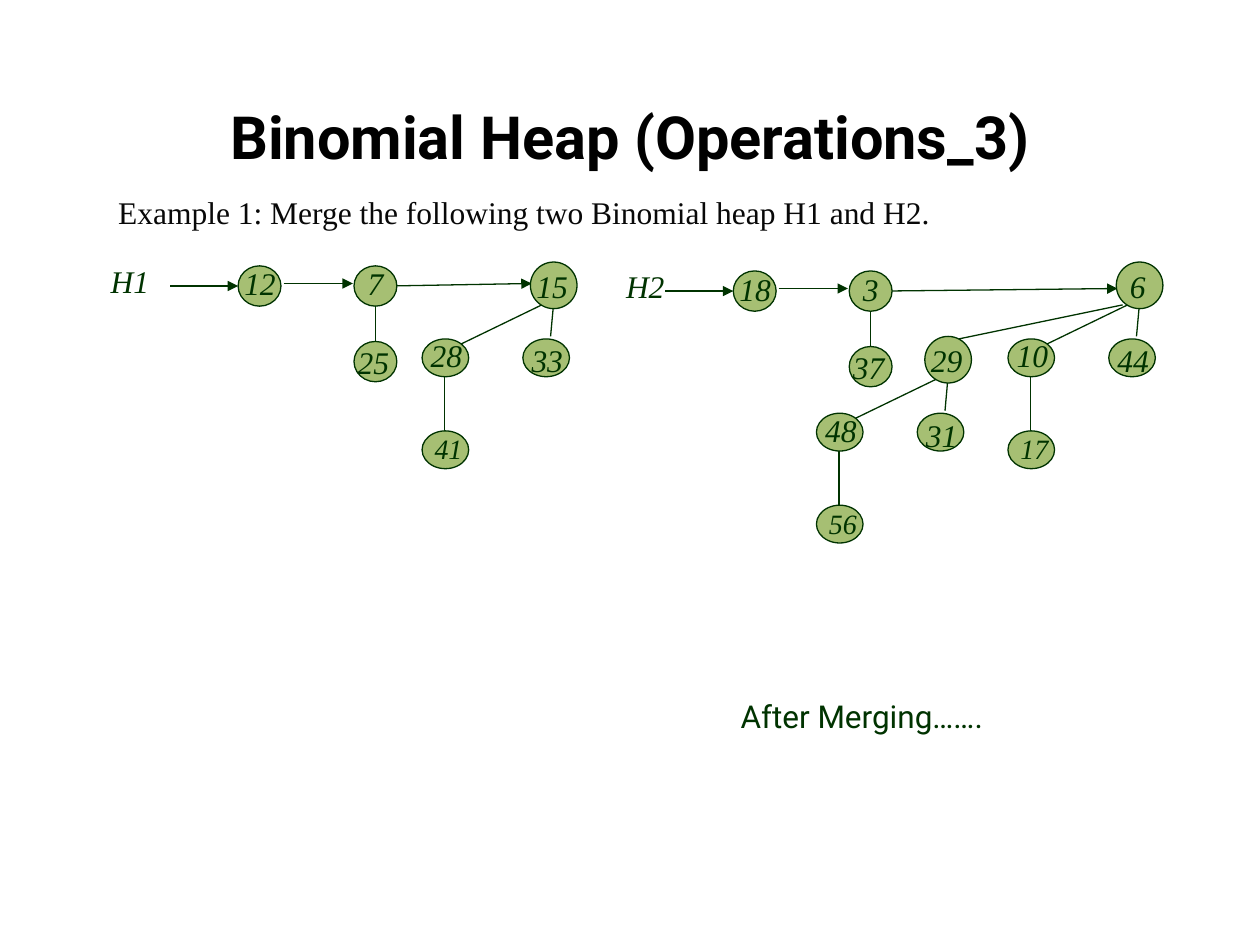
from dataclasses import dataclass

from lxml import etree
from pptx import Presentation
from pptx.dml.color import RGBColor
from pptx.enum.shapes import MSO_CONNECTOR, MSO_SHAPE
from pptx.enum.text import MSO_ANCHOR, PP_ALIGN
from pptx.oxml.ns import qn
from pptx.shapes.shapetree import GroupShapes
from pptx.util import Inches, Pt

STRAIGHT = MSO_CONNECTOR.STRAIGHT
OVAL = MSO_SHAPE.OVAL
MIDDLE = MSO_ANCHOR.MIDDLE
CENTER = PP_ALIGN.CENTER
JUSTIFY = PP_ALIGN.JUSTIFY

COLORS = {"ink": "003300", "node": "A6BF73", "title": "000000", "body": "080808"}
SERIF = "Times New Roman"
SANS = "Roboto"
LINE_WIDTH = Pt(0.75)
TITLE_ONLY = 5


@dataclass(frozen=True)
class Node:
    x: float
    y: float
    width: float
    height: float
    label_x: float
    label_y: float
    label_width: float = 0.47
    size: int = 18


@dataclass(frozen=True)
class Edge:
    x1: float
    y1: float
    x2: float
    y2: float


@dataclass(frozen=True)
class Tree:
    x: float
    y: float
    keys: tuple[str, str, str, str]
    root_label_shift: float = 0


@dataclass(frozen=True)
class Heap:
    name: str
    name_x: float
    x: float
    y: float
    keys: tuple[str, str, str]
    trees: tuple[Tree, ...]


CHAIN_NODES = (
    Node(0, 0, 0.34, 0.32, -0.05, -0.06, 0.55),
    Node(0.92, 0, 0.34, 0.32, 0.01, -0.06, 0.42),
    Node(0.92, 0.6, 0.34, 0.32, -0.07, -0.04),
)
CHAIN_ARROWS = (Edge(-0.54, 0.16, 0, 0.16), Edge(0.36, 0.14, 0.91, 0.14))
CHAIN_EDGE = Edge(1.09, 0.31, 1.09, 0.6)

TREE_NODES = (
    Node(0.86, -0.61, 0.37, 0.37, -0.05, -0.01),
    Node(0, 0, 0.37, 0.3, -0.03, -0.07),
    Node(0.8, 0, 0.37, 0.3, -0.03, -0.03, 0.49),
    Node(0, 0.73, 0.37, 0.3, 0, -0.04, 0.59, 16),
)
TREE_EDGES = (
    Edge(0.18, 0.3, 0.18, 0.73),
    Edge(1.04, -0.24, 1.02, -0.02),
    Edge(0.31, 0.04, 0.95, -0.27),
)

HEAPS = (
    Heap("H1", 0.78, 1.89, 2.11, ("12", "7", "25"),
         (Tree(3.35, 2.69, ("15", "28", "33", "41")),)),
    Heap("H2", 4.87, 5.82, 2.15, ("18", "3", "37"),
         (Tree(8, 2.69, ("6", "10", "44", "17"), 0.06),
          Tree(6.48, 3.28, ("29", "48", "31", "56")))),
)
TREE_LINK = Edge(7.61, 2.69, 8.91, 2.42)


def color(name: str) -> RGBColor:
    return RGBColor.from_string(COLORS[name])


def add_text(shapes: GroupShapes, text: str, x: float, y: float, width: float,
             height: float = 0.4, size: int = 18, font: str = SERIF,
             ink: str = "ink", italic: bool = False):
    box = shapes.add_textbox(Inches(x), Inches(y), Inches(width), Inches(height))
    box.text_frame.word_wrap = True
    para = box.text_frame.paragraphs[0]
    para.text = text
    para.font.name = font
    para.font.size = Pt(size)
    para.font.italic = italic
    para.font.color.rgb = color(ink)
    return para


def add_edge(shapes: GroupShapes, edge: Edge, x: float = 0, y: float = 0,
             arrow: bool = False) -> None:
    line = shapes.add_connector(
        STRAIGHT, Inches(x + edge.x1), Inches(y + edge.y1),
        Inches(x + edge.x2), Inches(y + edge.y2))
    line.line.color.rgb = color("ink")
    line.line.width = LINE_WIDTH
    properties = line._element.spPr
    if arrow:
        etree.SubElement(properties.find(qn("a:ln")), qn("a:tailEnd"), type="triangle")
    etree.SubElement(properties, qn("a:effectLst"))


def add_node(shapes: GroupShapes, node: Node, key: str, x: float, y: float,
             label_shift: float = 0) -> None:
    left, top = x + node.x, y + node.y
    oval = shapes.add_shape(OVAL, Inches(left), Inches(top),
                            Inches(node.width), Inches(node.height))
    oval.shadow.inherit = False
    oval.fill.solid()
    oval.fill.fore_color.rgb = color("node")
    oval.line.color.rgb = color("ink")
    oval.line.width = LINE_WIDTH
    add_text(shapes, key, left + node.label_x + label_shift, top + node.label_y,
             node.label_width, size=node.size, italic=True)


def add_tree(shapes: GroupShapes, tree: Tree) -> None:
    for edge in TREE_EDGES:
        add_edge(shapes, edge, tree.x, tree.y)
    for node, key in zip(TREE_NODES, tree.keys):
        shift = tree.root_label_shift if node is TREE_NODES[0] else 0
        add_node(shapes, node, key, tree.x, tree.y, shift)


def add_heap(shapes: GroupShapes, heap: Heap) -> None:
    add_text(shapes, heap.name, heap.name_x, heap.y - 0.08, 0.61, italic=True)
    for arrow in CHAIN_ARROWS:
        add_edge(shapes, arrow, heap.x, heap.y, arrow=True)
    main_tree = heap.trees[0]
    root_arrow = Edge(heap.x + 1.2, heap.y + 0.16,
                      main_tree.x + 0.87, heap.y + 0.14)
    add_edge(shapes, root_arrow, arrow=True)
    add_edge(shapes, CHAIN_EDGE, heap.x, heap.y)
    for node, key in zip(CHAIN_NODES, heap.keys):
        add_node(shapes, node, key, heap.x, heap.y)
    for tree in heap.trees:
        add_tree(shapes, tree)
    if len(heap.trees) > 1:
        add_edge(shapes, TREE_LINK)


def main() -> None:
    deck = Presentation()
    deck.slide_width, deck.slide_height = Inches(10), Inches(7.5)
    page = deck.slides.add_slide(deck.slide_layouts[TITLE_ONLY])

    title = page.shapes.title
    title.left, title.top = Inches(0.5), Inches(0.68)
    title.width, title.height = Inches(9), Inches(0.79)
    title.text_frame.vertical_anchor = MIDDLE
    para = title.text_frame.paragraphs[0]
    para.text = "Binomial Heap (Operations_3)"
    para.alignment = CENTER
    para.font.name = SANS
    para.font.size = Pt(34)
    para.font.bold = True
    para.font.color.rgb = color("title")

    example = add_text(
        page.shapes, "Example 1: Merge the following two Binomial heap H1 and H2.",
        0.84, 1.48, 7.86, 0.62, ink="body")
    example.alignment = JUSTIFY

    for heap in HEAPS:
        add_heap(page.shapes.add_group_shape().shapes, heap)

    add_text(page.shapes, "After Merging…….", 5.78, 5.48, 3.26, font=SANS)
    deck.save("out.pptx")


if __name__ == "__main__":
    main()
